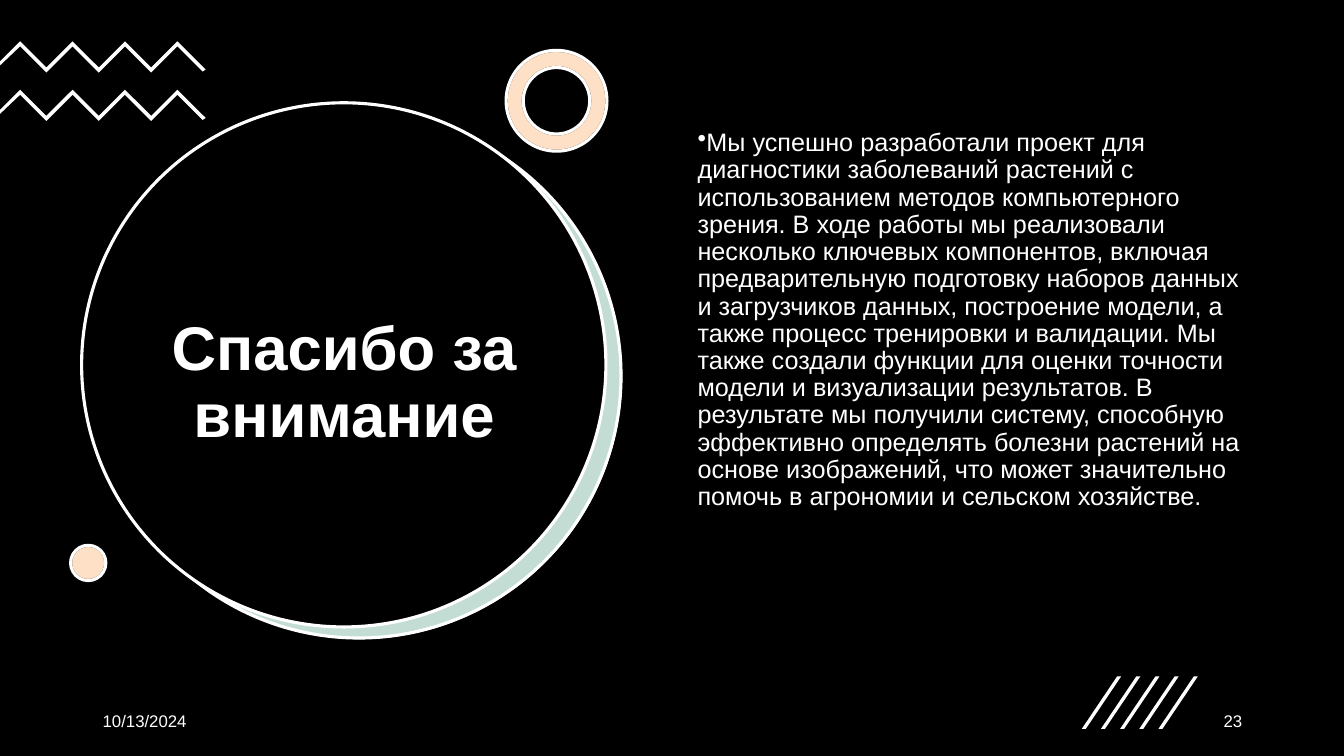
"""Build the closing slide of the plant disease diagnostics deck."""
from lxml import etree
from pptx import Presentation
from pptx.dml.color import RGBColor
from pptx.enum.shapes import MSO_SHAPE
from pptx.enum.text import MSO_ANCHOR, PP_ALIGN
from pptx.oxml.ns import qn
from pptx.util import Inches, Pt

TITLE = "Спасибо за внимание"
SUMMARY = (
    "Мы успешно разработали проект для диагностики заболеваний растений с "
    "использованием методов компьютерного зрения. В ходе работы мы реализовали "
    "несколько ключевых компонентов, включая предварительную подготовку наборов "
    "данных и загрузчиков данных, построение модели, а также процесс тренировки и "
    "валидации. Мы также создали функции для оценки точности модели и визуализации "
    "результатов. В результате мы получили систему, способную эффективно определять "
    "болезни растений на основе изображений, что может значительно помочь в "
    "агрономии и сельском хозяйстве."
)
DATE = "10/13/2024"
PAGE_NUMBER = "23"

FONT = "Arial"
BLACK = RGBColor(0x00, 0x00, 0x00)
WHITE = RGBColor(0xFF, 0xFF, 0xFF)
GREEN = RGBColor(0x3D, 0x90, 0x72)
ORANGE = RGBColor(0xFA, 0x9A, 0x42)
TINT = 30

RECTANGLE, OVAL, DONUT = MSO_SHAPE.RECTANGLE, MSO_SHAPE.OVAL, MSO_SHAPE.DONUT
TOP, MIDDLE = MSO_ANCHOR.TOP, MSO_ANCHOR.MIDDLE
LEFT, CENTER, RIGHT = PP_ALIGN.LEFT, PP_ALIGN.CENTER, PP_ALIGN.RIGHT

WIDTH, HEIGHT = 13.33, 7.5
DISC = 5.2
RING, RING_HOLE_SHARE = 1.0, 0.17
DOT = 0.35
FOOTER_TOP, FOOTER_WIDTH, FOOTER_HEIGHT = 6.95, 3, 0.4
ZIGZAG_TOPS = (0.41, 0.89)
ZIGZAG_START, ZIGZAG_STEP, ZIGZAG_POINTS = 0.2, 0.26, 7
ZIGZAG_THICKNESS = 0.05
SLASH_LEFT, SLASH_TOP, SLASH_PITCH, SLASH_COUNT = 10.73, 6.71, 0.19, 5
SLASH_RUN, SLASH_RISE, SLASH_THICKNESS = 0.35, 0.52, 0.04

ROUND_SHAPES = [
    (OVAL, 0.97, 1.14, DISC, WHITE, None, None),
    (OVAL, 0.96, 1.13, DISC, GREEN, TINT, WHITE),
    (OVAL, 0.81, 1.02, DISC, BLACK, None, WHITE),
    (DONUT, 5.02, 0.5, RING, WHITE, None, BLACK),
    (DONUT, 5.02, 0.5, RING, ORANGE, TINT, WHITE),
    (OVAL, 0.7, 5.41, DOT, WHITE, None, BLACK),
    (OVAL, 0.7, 5.41, DOT, ORANGE, TINT, WHITE),
]


def paint(shape, color, opacity=None, outline=None):
    shape.shadow.inherit = False
    shape.fill.solid()
    shape.fill.fore_color.rgb = color
    if opacity is not None:
        tone = shape.fill._xPr.find(qn("a:solidFill"))[0]
        etree.SubElement(tone, qn("a:alpha"), val=str(opacity * 1000))
    if outline is None:
        shape.line.fill.background()
    else:
        shape.line.color.rgb = outline
        shape.line.width = Pt(2.25)


def add_preset(page, kind, left, top, width, height):
    return page.shapes.add_shape(kind, *map(Inches, (left, top, width, height)))


def add_outline(page, points):
    corners = [(Inches(x), Inches(y)) for x, y in points]
    builder = page.shapes.build_freeform(*corners[0], scale=1.0)
    builder.add_line_segments(corners[1:], close=True)
    shape = builder.convert_to_shape()
    paint(shape, WHITE)
    return shape


def add_text(page, text, bounds, size, align=LEFT, anchor=MIDDLE, bold=False):
    box = page.shapes.add_textbox(*map(Inches, bounds))
    frame = box.text_frame
    frame.word_wrap = True
    frame.vertical_anchor = anchor
    para = frame.paragraphs[0]
    para.text = text
    para.alignment = align
    para.font.name = FONT
    para.font.size = Pt(size)
    para.font.bold = bold
    para.font.color.rgb = WHITE
    return para


def add_bullet(para):
    props = para._p.get_or_add_pPr()
    props.set("marL", "0")
    props.set("indent", str(Inches(-0.25)))
    bullet = etree.Element(qn("a:buChar"), char="•")
    props.find(qn("a:defRPr")).addprevious(bullet)


def zigzag_points(top):
    ridge = [
        (ZIGZAG_START + ZIGZAG_STEP * i, top + ZIGZAG_STEP * (i % 2))
        for i in range(ZIGZAG_POINTS)
    ]
    underside = [(x, y + ZIGZAG_THICKNESS) for x, y in reversed(ridge)]
    right_end = [(2.04, top + 0.28), (2.01, top + 0.3)]
    left_end = [(0, top + 0.24), (0, top + 0.2)]
    return ridge + right_end + underside + left_end


def slash_points(index):
    left = SLASH_LEFT + SLASH_PITCH * index
    bottom = SLASH_TOP + SLASH_RISE
    return [
        (left + SLASH_THICKNESS, bottom),
        (left, bottom),
        (left + SLASH_RUN, SLASH_TOP),
        (left + SLASH_RUN + SLASH_THICKNESS, SLASH_TOP),
    ]


def main():
    deck = Presentation()
    deck.slide_width, deck.slide_height = Inches(WIDTH), Inches(HEIGHT)
    page = deck.slides.add_slide(deck.slide_layouts[6])

    paint(add_preset(page, RECTANGLE, 0, 0, WIDTH, HEIGHT), BLACK)
    for kind, left, top, size, color, opacity, outline in ROUND_SHAPES:
        shape = add_preset(page, kind, left, top, size, size)
        if kind == DONUT:
            shape.adjustments[0] = RING_HOLE_SHARE
        paint(shape, color, opacity, outline)

    title = add_text(page, TITLE, (1.21, 2.05, 4.41, 3.52), 44, CENTER, bold=True)
    title.line_spacing = 0.9

    zigzags = [add_outline(page, zigzag_points(top)) for top in ZIGZAG_TOPS]
    page.shapes.add_group_shape(zigzags)

    summary = add_text(page, SUMMARY, (6.82, 1.24, 5.71, 4.76), 18, anchor=TOP)
    summary.line_spacing = 0.9
    summary.space_after = Pt(6)
    add_bullet(summary)

    for text, left, align in ((DATE, 0.92, LEFT), (PAGE_NUMBER, 9.42, RIGHT)):
        bounds = (left, FOOTER_TOP, FOOTER_WIDTH, FOOTER_HEIGHT)
        add_text(page, text, bounds, 12, align).space_after = Pt(6)

    slashes = [add_outline(page, slash_points(i)) for i in range(SLASH_COUNT)]
    page.shapes.add_group_shape(slashes)
    deck.save("out.pptx")


if __name__ == "__main__":
    main()
